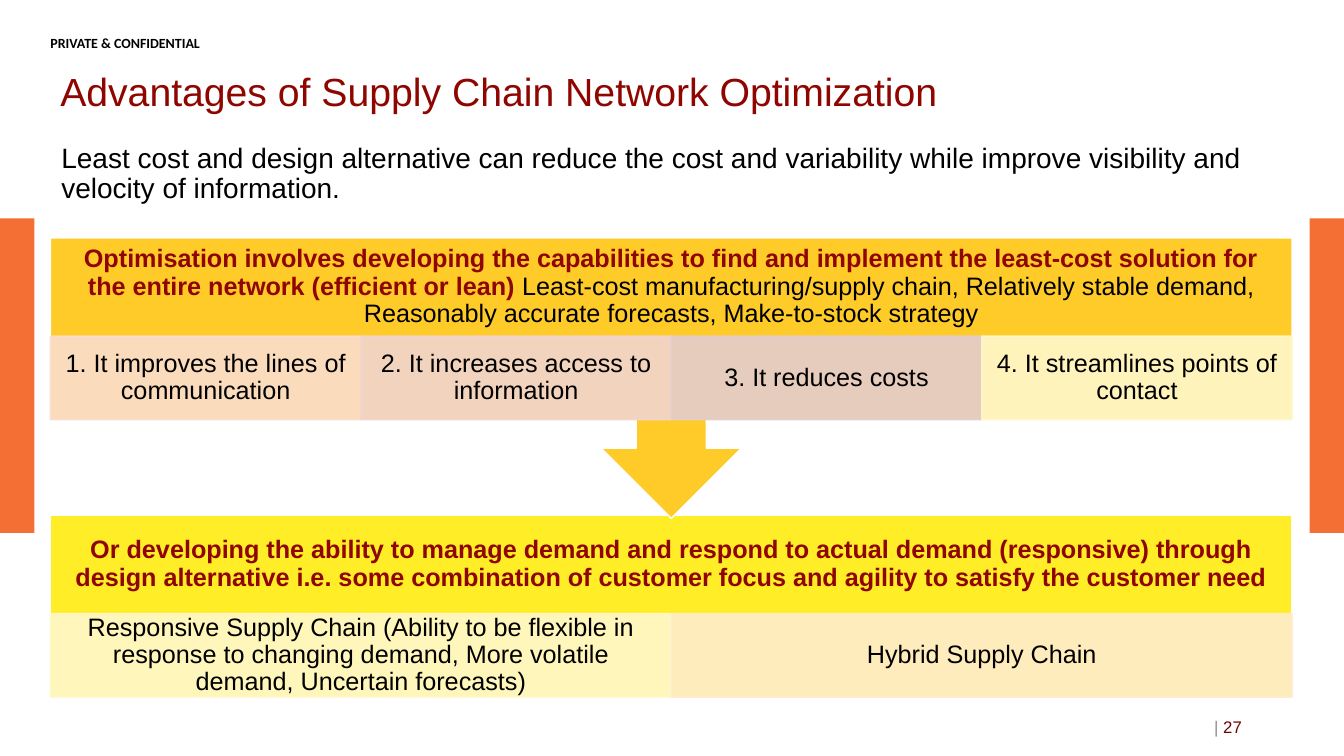
from lxml.etree import SubElement
from pptx import Presentation
from pptx.dml.color import RGBColor
from pptx.enum.shapes import MSO_SHAPE
from pptx.enum.text import MSO_ANCHOR, PP_ALIGN
from pptx.oxml.ns import qn
from pptx.util import Pt

# Content
MARK = "PRIVATE & CONFIDENTIAL"
TITLE = "Advantages of Supply Chain Network Optimization"
INTRO = ("Least cost and design alternative can reduce the cost and variability "
         "while improve visibility and velocity of information.")
PAGE = "27"
LEAN = {
    "lead": "Optimisation involves developing the capabilities to find and implement "
            "the least-cost solution for the entire network (efficient or lean) ",
    "rest": "Least-cost manufacturing/supply chain, Relatively stable demand, "
            "Reasonably accurate forecasts, Make-to-stock strategy",
    "cells": [("1. It improves the lines of communication", "FADECE"),
              ("2. It increases access to information", "F1D5CF"),
              ("3. It reduces costs", "E4CDCD"),
              ("4. It streamlines points of contact", "FFF8CD")],
    "fill": "FFCB28", "form": MSO_SHAPE.DOWN_ARROW_CALLOUT,
    "top": 169.9, "high": 200.4,
}
AGILE = {
    "lead": "Or developing the ability to manage demand and respond to actual demand "
            "(responsive) through design alternative i.e. some combination of customer "
            "focus and agility to satisfy the customer need",
    "rest": "",
    "cells": [("Responsive Supply Chain (Ability to be flexible in response to changing "
               "demand, More volatile demand, Uncertain forecasts)", "FFF8CD"),
              ("Hybrid Supply Chain", "FFECCD")],
    "fill": "FFED28", "form": MSO_SHAPE.RECTANGLE,
    "top": 368, "high": 130.4,
}

# Theme and layout
THEME = {"font": "Arial", "mark font": "Calibri", "dark": "8F0500", "ink": "000000",
         "bar": "F46F33", "edge": "FFFFFF", "rule": "8C8C8C", "page": "6A0500",
         "title": 28, "intro": 20, "block": 18, "foot": 12, "mark": 10, "alpha": 90}
WIDE, TALL = 960, 540
LEFT, SPAN = 36, 887
HEAD, ROW = 70.2, 59.8
PAD = (7.2, 3.6)

deck = Presentation()
deck.slide_width, deck.slide_height = Pt(WIDE), Pt(TALL)
slide = deck.slides.add_slide(deck.slide_layouts[6])


def tint(fill, color, alpha=100):
    fill.solid()
    fill.fore_color.rgb = RGBColor.from_string(color)
    if alpha < 100:
        node = fill._xPr.find(qn("a:solidFill"))[0]
        SubElement(node, qn("a:alpha"), val=str(alpha * 1000))


def block(form, box, color, edge=None, alpha=100):
    shape = slide.shapes.add_shape(form, *map(Pt, box))
    shape.shadow.inherit = False
    tint(shape.fill, color, alpha)
    if edge:
        tint(shape.line.fill, edge, alpha)
        shape.line.width = Pt(1)
    else:
        shape.line.fill.background()
    return shape


def write(shape, runs, size, pad=PAD, align=PP_ALIGN.LEFT,
          anchor=MSO_ANCHOR.MIDDLE, space=0.9, font=THEME["font"]):
    frame = shape.text_frame
    form = {"word_wrap": True, "vertical_anchor": anchor,
            "margin_left": Pt(pad[0]), "margin_right": Pt(pad[0]),
            "margin_top": Pt(pad[1]), "margin_bottom": Pt(pad[1])}
    for key, value in form.items():
        setattr(frame, key, value)
    para = frame.paragraphs[0]
    para.alignment, para.line_spacing = align, space
    for text, color, bold in runs:
        run = para.add_run()
        run.text = text
        for key, value in {"name": font, "size": Pt(size), "bold": bold}.items():
            setattr(run.font, key, value)
        run.font.color.rgb = RGBColor.from_string(THEME[color])


def label(box, runs, size, **form):
    write(slide.shapes.add_textbox(*map(Pt, box)), runs, size, **form)


def group(part):
    top = part["top"]
    block(part["form"], (LEFT, top, SPAN, part["high"]), part["fill"], THEME["edge"])
    runs = [(part["lead"], "dark", True)]
    if part["rest"]:
        runs.append((part["rest"], "ink", False))
    label((LEFT, top, SPAN, HEAD), runs, THEME["block"],
          pad=(10, 10), align=PP_ALIGN.CENTER)
    step = SPAN / len(part["cells"])
    for col, (text, color) in enumerate(part["cells"]):
        box = (LEFT + col * step, top + HEAD, step, ROW)
        cell = block(MSO_SHAPE.RECTANGLE, box, color, color, THEME["alpha"])
        write(cell, [(text, "ink", False)], THEME["block"],
              pad=(10, 2.2), align=PP_ALIGN.CENTER)


# Side bars
BAR = 24.6
for x in (0, WIDE - BAR):
    block(MSO_SHAPE.RECTANGLE, (x, 156, BAR, 224.6), THEME["bar"])

# Heading
label((LEFT, 24.5, 182, 8.6), [(MARK, "ink", True)], THEME["mark"], pad=(0, 0),
      anchor=MSO_ANCHOR.TOP, space=1, font=THEME["mark font"])
label((LEFT, 41.8, 782.6, 51), [(TITLE, "dark", False)], THEME["title"])
label((36.7, 99.4, 886.3, 57), [(INTRO, "ink", False)], THEME["intro"],
      anchor=MSO_ANCHOR.TOP)

# Two strategy groups, the arrow of the first over the second
for part in (AGILE, LEAN):
    group(part)

# Page number
label((678.2, 504.7, 216, 28.8), [("| ", "rule", False), (PAGE, "page", False)],
      THEME["foot"], align=PP_ALIGN.RIGHT, space=1)

deck.save("out.pptx")
